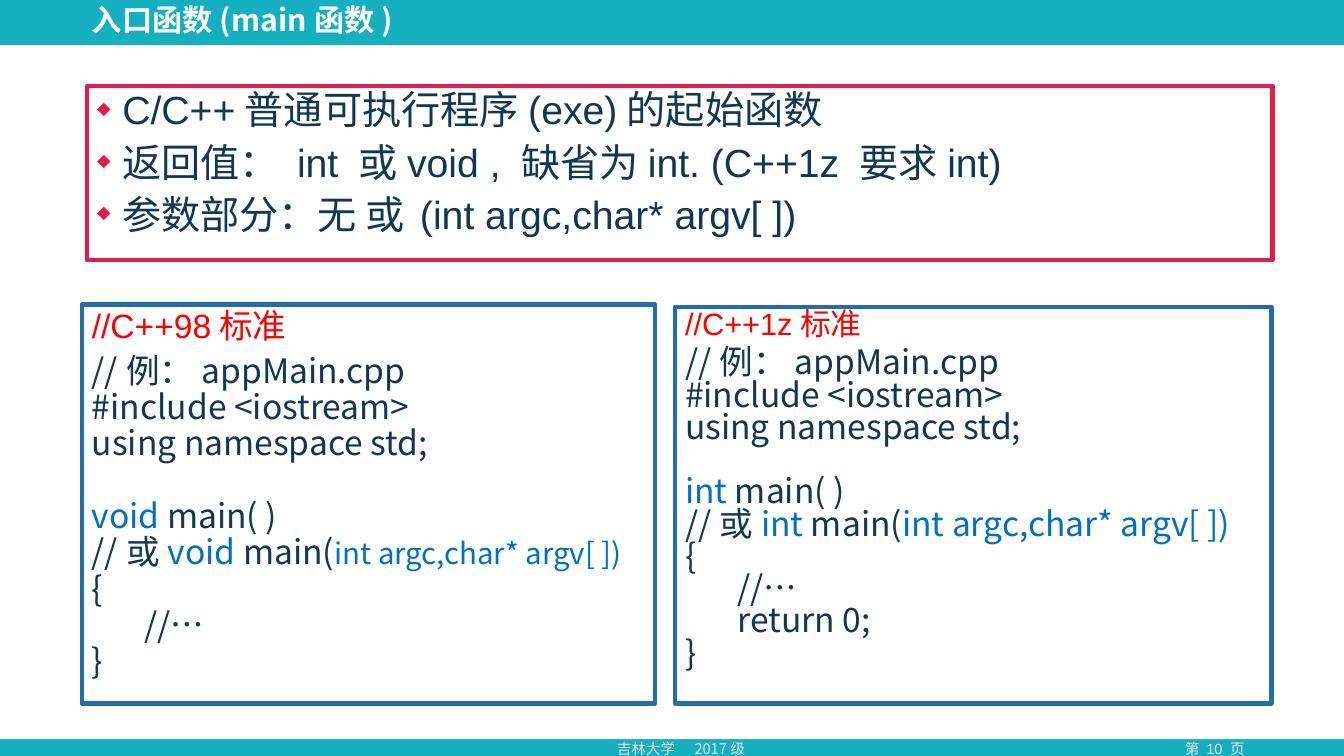
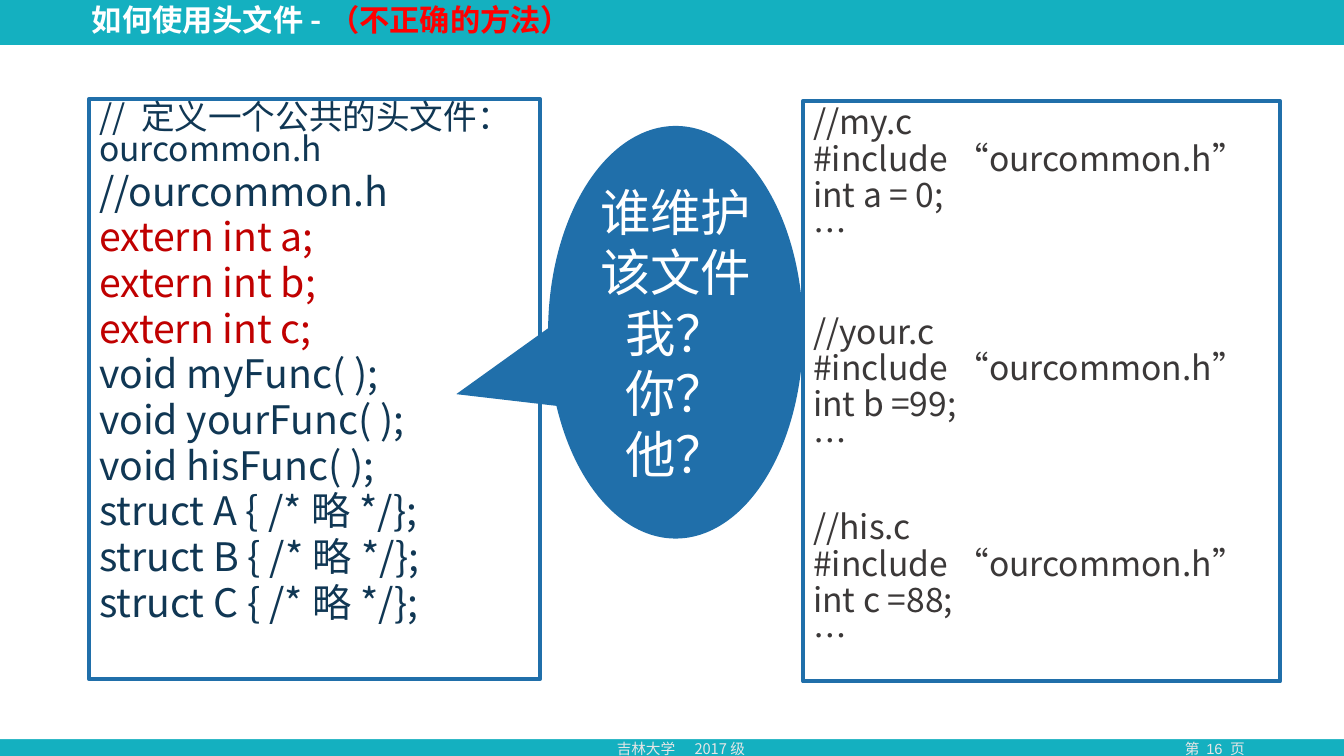
from dataclasses import dataclass

from lxml import etree
from pptx import Presentation
from pptx.dml.color import RGBColor
from pptx.enum.shapes import MSO_SHAPE
from pptx.enum.text import MSO_ANCHOR, PP_ALIGN
from pptx.oxml.ns import qn
from pptx.util import Emu, Pt

RECT = MSO_SHAPE.RECTANGLE
BUBBLE = MSO_SHAPE.OVAL_CALLOUT
TOP, MIDDLE = MSO_ANCHOR.TOP, MSO_ANCHOR.MIDDLE
LEFT, CENTER = PP_ALIGN.LEFT, PP_ALIGN.CENTER

PX = 9525
WIDE, HIGH = 1280, 720
HANG, STOP, EDGE = 24, 74, 4
LATIN, HAN = "Arial", "Noto Sans CJK SC"
HUES = {
    "teal": "14B0C0",
    "white": "FFFFFF",
    "pale": "E7E6E6",
    "blue": "206FAA",
    "rose": "E61A4B",
    "navy": "103754",
    "word": "0070C0",
    "red": "FF0000",
    "dark": "C00000",
    "gray": "3B3838",
}


@dataclass(frozen=True)
class Area:
    x: int
    y: int
    w: int
    h: int


@dataclass(frozen=True)
class Run:
    text: str
    hue: str = ""
    size: float = 0


@dataclass(frozen=True)
class Para:
    runs: tuple[Run, ...]
    size: float = 24
    hue: str = "navy"
    face: str = HAN
    before: float = 0
    line: float = 0.9
    bold: bool = False
    align: PP_ALIGN = LEFT
    bullet: bool = False
    stop: int = 0


@dataclass(frozen=True)
class Panel:
    area: Area
    paras: list[Para]
    edge: str = "blue"


PAGE = Area(0, 0, WIDE, HIGH)
BODY = Area(0, 43, WIDE, 661)


def px(count: int) -> Emu:
    return Emu(count * PX)


def rgb(hue: str) -> RGBColor:
    return RGBColor.from_string(HUES[hue])


def para(*parts: str | Run, **style) -> Para:
    return Para(tuple(Run(p) if isinstance(p, str) else p for p in parts), **style)


def lines(text: str, first: float = 0, **style) -> list[Para]:
    return [para(row, before=0 if n else first, **style)
            for n, row in enumerate(text.split("\n"))]


def add_marks(props, item: Para) -> None:
    if item.bullet:
        props.set("marL", str(px(HANG)))
        props.set("indent", str(-px(HANG)))
        tint = etree.SubElement(props, qn("a:buClr"))
        etree.SubElement(tint, qn("a:srgbClr"), val=HUES["rose"])
        etree.SubElement(props, qn("a:buSzPct"), val="45000")
        etree.SubElement(props, qn("a:buChar"), char="◆")
    if item.stop:
        tabs = etree.SubElement(props, qn("a:tabLst"))
        etree.SubElement(tabs, qn("a:tab"), pos=str(px(item.stop)), algn="l")


def write(frame, paras: list[Para], anchor: MSO_ANCHOR = TOP) -> None:
    frame.word_wrap = True
    frame.vertical_anchor = anchor
    for n, item in enumerate(paras):
        p = frame.add_paragraph() if n else frame.paragraphs[0]
        props = p._p.get_or_add_pPr()
        add_marks(props, item)
        p.alignment = item.align
        p.line_spacing = item.line
        p.space_before = Pt(item.before if n else 0)
        font = p.font
        font.size, font.bold, font.name = Pt(item.size), item.bold, item.face
        font.color.rgb = rgb(item.hue)
        dots = any("…" in part.text for part in item.runs)
        etree.SubElement(props.find(qn("a:defRPr")), qn("a:ea"),
                         typeface=LATIN if dots else HAN)
        for part in item.runs:
            run = p.add_run()
            run.text = part.text
            if part.hue:
                run.font.color.rgb = rgb(part.hue)
            if part.size:
                run.font.size = Pt(part.size)


def add_form(slide, area: Area, fill: str = "", edge: str = "", kind=RECT):
    form = slide.shapes.add_shape(kind, px(area.x), px(area.y), px(area.w), px(area.h))
    form.shadow.inherit = False
    if fill:
        form.fill.solid()
        form.fill.fore_color.rgb = rgb(fill)
    else:
        form.fill.background()
    if edge:
        form.line.color.rgb = rgb(edge)
        form.line.width = px(EDGE)
    else:
        form.line.fill.background()
    return form


def add_label(slide, area: Area, item: Para, anchor: MSO_ANCHOR = TOP) -> None:
    box = slide.shapes.add_textbox(px(area.x), px(area.y), px(area.w), px(area.h))
    write(box.text_frame, [item], anchor)


def add_page(deck, title: Para, page: int, panels: list[Panel]):
    slide = deck.slides.add_slide(deck.slide_layouts[6])
    add_form(slide, PAGE, "teal")
    add_form(slide, BODY, "white")
    small = {"size": 10.5, "hue": "pale", "line": 1}
    add_label(slide, Area(1087, 700, 140, 27),
              para(f"第 {page} 页", face=LATIN, align=CENTER, **small))
    add_label(slide, Area(578, 700, 177, 27),
              para("吉林大学\t2017级", stop=STOP, **small))
    add_label(slide, Area(78, 0, 912, 42), title, MIDDLE)
    for panel in panels:
        form = add_form(slide, panel.area, edge=panel.edge)
        write(form.text_frame, panel.paras)
    return slide


def heading(*parts: str | Run) -> Para:
    return para(*parts, size=21.6, hue="white", bold=True)


def entry(deck) -> None:
    start = "//例：appMain.cpp\n#include <iostream>\nusing namespace std;"
    args = "int argc,char* argv[ ])"
    old = [
        para("//C++98标准", hue="red", face=LATIN),
        *lines(start, 6.2),
        para(Run("void ", "word"), "main( )", before=26),
        para("//或", Run("void", "word"), " main(", Run(args, "word", 21)),
        *lines("{\n       //…\n}"),
    ]
    tight = {"line": 0.8}
    new = [
        para("//C++1z标准", hue="red", face=LATIN, size=22, **tight),
        *lines(start, 5.7, **tight),
        para(Run("int", "word"), " main( )", before=23, **tight),
        para("//或", Run("int", "word"), " main(", Run(args, "word"), **tight),
        *lines("{\n       //…\n       return 0;\n}", **tight),
    ]
    gap = Run(" ", size=23)
    facts = (
        ("C/C++普通可执行程序(exe)的起始函数",),
        ("返回值： int 或void , 缺省为int. (C++1z 要求int)",),
        ("参数部分：无 或", gap, "(int argc,char* argv[ ])"),
    )
    notes = [para(*fact, size=28, face=LATIN, before=7, bullet=True) for fact in facts]
    add_page(deck, heading("入口函数(main函数)"), 10, [
        Panel(Area(78, 290, 546, 380), old),
        Panel(Area(643, 292, 568, 378), new),
        Panel(Area(83, 82, 1129, 166), notes, "rose"),
    ])


def header(deck) -> None:
    style = {"size": 28, "before": 5.7, "line": 0.8}
    common = [
        para("// 定义一个公共的头文件：ourcommon.h", line=0.8),
        para("//ourcommon.h", **style),
        *(para(f"extern int {name};", hue="dark", **style) for name in "abc"),
        *(para(f"void {name}Func( );", **style) for name in ("my", "your", "his")),
        *(para(f"struct {name} {{ /*略*/}};", **style) for name in "ABC"),
    ]
    files = (("my", "a = 0", 0), ("your", "b =99", 46), ("his", "c =88", 36))
    users = [
        row
        for name, value, gap in files
        for row in lines(f"//{name}.c\n#include “ourcommon.h”\nint {value};\n…",
                         gap, hue="gray")
    ]
    title = heading("如何使用头文件-", Run("（不正确的方法）", "red"))
    slide = add_page(deck, title, 16, [
        Panel(Area(85, 94, 429, 553), common),
        Panel(Area(765, 96, 454, 553), users),
    ])
    bubble = add_form(slide, Area(522, 120, 243, 393), "blue", kind=BUBBLE)
    bubble.adjustments[0] = -0.86
    bubble.adjustments[1] = 0.15
    write(bubble.text_frame,
          lines("谁维护该文件\n我？\n你？\n他？", size=36, hue="white",
                face=LATIN, line=1, align=CENTER), MIDDLE)


def main() -> None:
    deck = Presentation()
    deck.slide_width, deck.slide_height = px(WIDE), px(HIGH)
    entry(deck)
    header(deck)
    deck.save("out.pptx")


if __name__ == "__main__":
    main()
